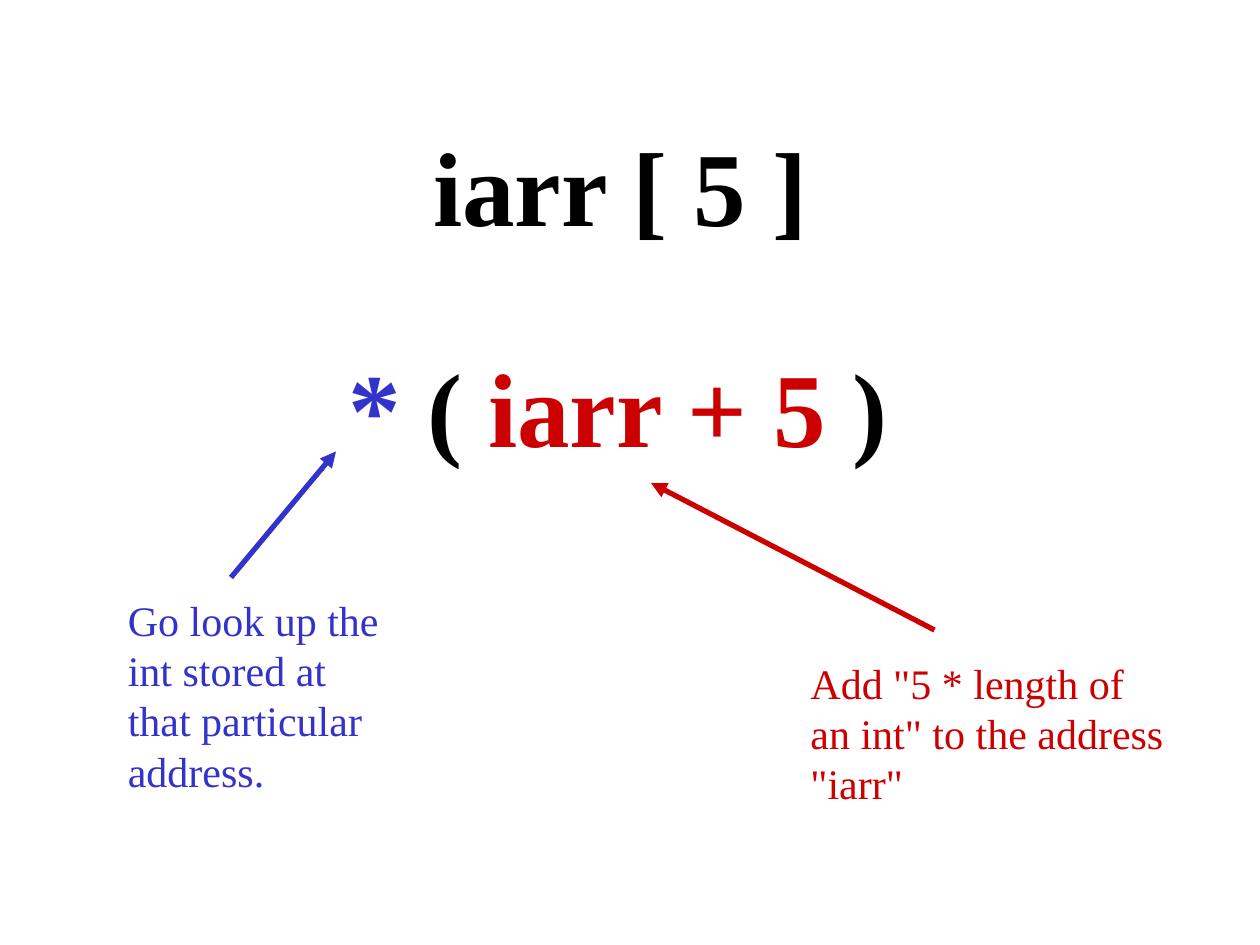
from dataclasses import dataclass
from typing import NamedTuple

from lxml.etree import SubElement
from pptx import Presentation
from pptx.dml.color import RGBColor
from pptx.enum.shapes import MSO_CONNECTOR
from pptx.enum.text import MSO_AUTO_SIZE
from pptx.oxml.ns import qn
from pptx.slide import Slide
from pptx.util import Pt


@dataclass(frozen=True)
class Theme:
    font: str = "Times New Roman"
    black: str = "000000"
    blue: str = "3333CC"
    red: str = "CC0000"
    code_size: float = 60
    note_size: float = 24
    arrow_width: float = 3


THEME = Theme()


class Run(NamedTuple):
    text: str
    color: str


class TextBlock(NamedTuple):
    left: float
    top: float
    width: float
    height: float
    runs: tuple[Run, ...]


class Arrow(NamedTuple):
    x1: float
    y1: float
    x2: float
    y2: float
    color: str


EXPRESSIONS = (
    TextBlock(240.5, 66, 229, 79, (Run("iarr [ 5 ]", THEME.black),)),
    TextBlock(192, 192, 323.5, 79, (
        Run("*", THEME.blue),
        Run(" ( ", THEME.black),
        Run("iarr + 5", THEME.red),
        Run(" )", THEME.black),
    )),
)
NOTES = (
    TextBlock(66, 336, 163.5, 122.5, (
        Run("Go look up the int stored at that particular address.", THEME.blue),
    )),
    TextBlock(456, 372, 217.5, 93.5, (
        Run('Add "5 * length of an int" to the address "iarr"', THEME.red),
    )),
)
ARROWS = (
    Arrow(132, 330, 192, 258, THEME.blue),
    Arrow(534, 360, 372, 276, THEME.red),
)


def add_text(s: Slide, block: TextBlock, *, size: float, bold: bool = False,
             wrap: bool = True) -> None:
    sp = s.shapes.add_textbox(
        Pt(block.left), Pt(block.top), Pt(block.width), Pt(block.height))
    tf = sp.text_frame
    tf.word_wrap = wrap
    tf.auto_size = MSO_AUTO_SIZE.SHAPE_TO_FIT_TEXT
    p = tf.paragraphs[0]
    for run in block.runs:
        r = p.add_run()
        r.text = run.text
        r.font.name = THEME.font
        r.font.size = Pt(size)
        r.font.bold = bold
        r.font.color.rgb = RGBColor.from_string(run.color)


def add_arrow(s: Slide, arrow: Arrow) -> None:
    sp = s.shapes.add_connector(
        MSO_CONNECTOR.STRAIGHT,
        Pt(arrow.x1), Pt(arrow.y1), Pt(arrow.x2), Pt(arrow.y2))
    sp.line.color.rgb = RGBColor.from_string(arrow.color)
    sp.line.width = Pt(THEME.arrow_width)
    SubElement(sp.line._get_or_add_ln(), qn("a:tailEnd"), type="triangle")
    SubElement(sp._element.spPr, qn("a:effectLst"))


def main() -> None:
    prs = Presentation()
    prs.slide_width, prs.slide_height = Pt(720), Pt(540)
    s = prs.slides.add_slide(prs.slide_layouts[6])
    for block in EXPRESSIONS:
        add_text(s, block, size=THEME.code_size, bold=True, wrap=False)
    for note, arrow in zip(NOTES, ARROWS):
        add_text(s, note, size=THEME.note_size)
        add_arrow(s, arrow)
    prs.save("out.pptx")


if __name__ == "__main__":
    main()
